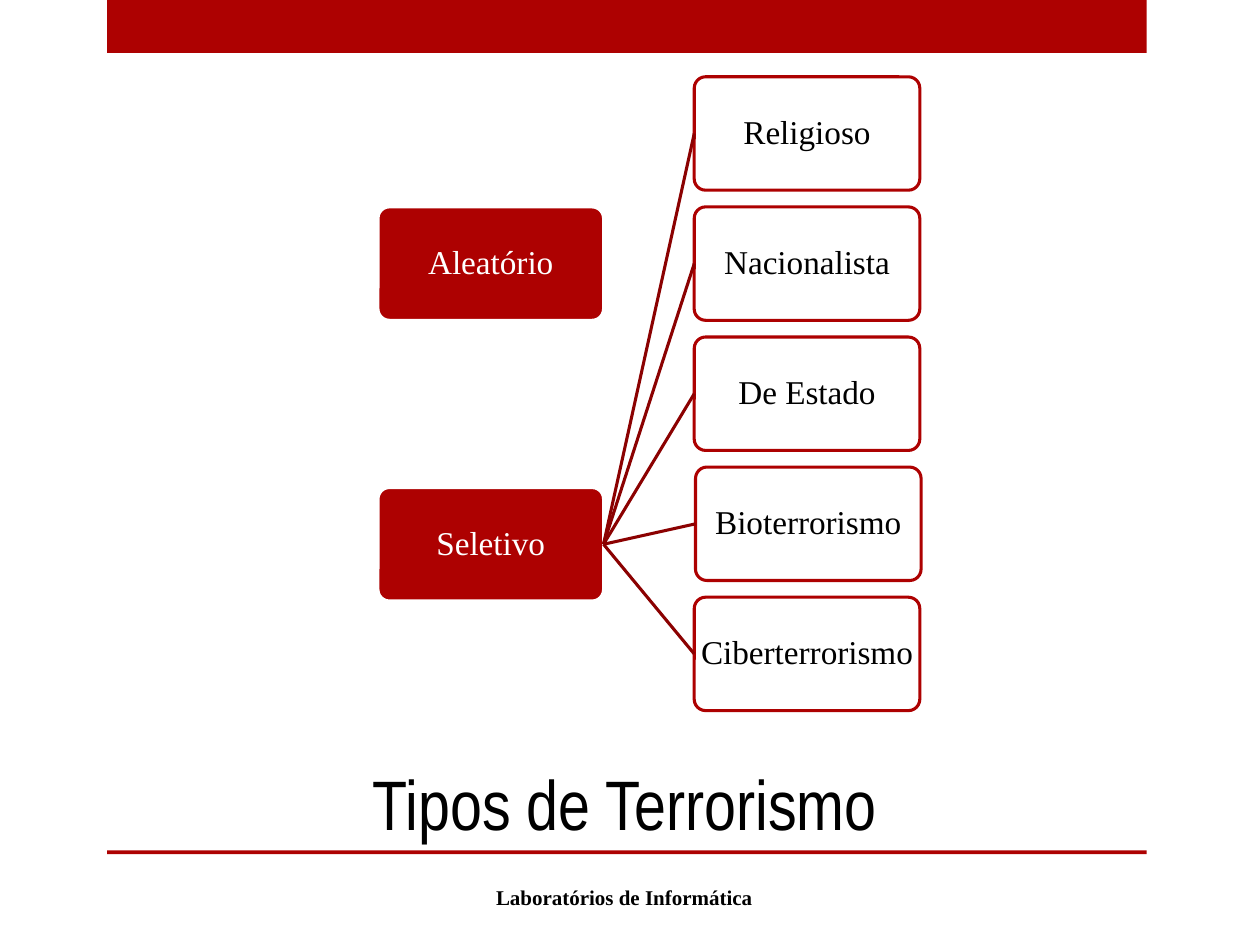
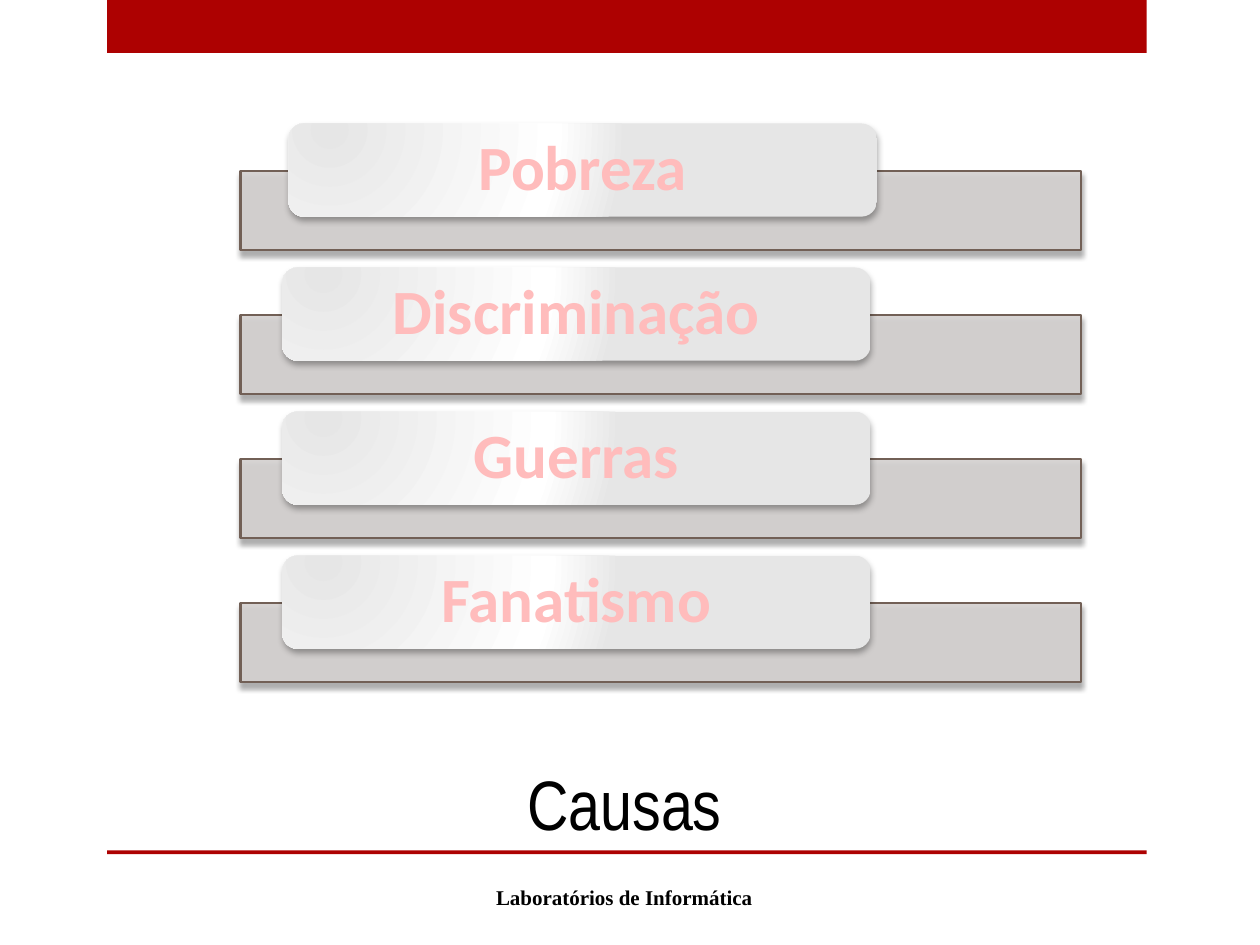
import dataclasses

import lxml.etree
import pptx
import pptx.dml.color
import pptx.enum.dml
import pptx.enum.shapes
import pptx.enum.text
import pptx.oxml
import pptx.oxml.ns
import pptx.util

COLORS = {
    "red": "AD0101", "dark_red": "8B0101", "pink": "FFBCBC",
    "white": "FFFFFF", "black": "000000",
    "stone": "D5D2D1", "brown": "726056", "silver": "E6E6E6",
}
SERIF, TITLE_FONT, CARD_FONT = "Times New Roman", "Arial Narrow", "Calibri"
CELL = pptx.util.Inches(0.1)
COLUMNS, ROWS = 100, 75
DRAWING_NS = pptx.oxml.ns.nsdecls("a")
RECTANGLE = pptx.enum.shapes.MSO_SHAPE.RECTANGLE
ROUNDED = pptx.enum.shapes.MSO_SHAPE.ROUNDED_RECTANGLE
ANCHOR = pptx.enum.text.MSO_ANCHOR


@dataclasses.dataclass
class Box:
    """An area of the slide, in grid columns and rows."""
    left: float
    top: float
    width: float
    height: float

    def inner(self, left, top, width, height):
        return Box(self.left + left, self.top + top, width, height)

    def lengths(self):
        return [round(value * CELL) for value in
                (self.left, self.top, self.width, self.height)]


PAGE = Box(0, 0, COLUMNS, ROWS)


def rgb(name):
    return pptx.dml.color.RGBColor.from_string(COLORS[name])


def add_panel(page, box, kind, fill=None, line=None, line_width=1.75):
    panel = page.shapes.add_shape(kind, *box.lengths())
    panel.shadow.inherit = False
    if fill:
        panel.fill.solid()
        panel.fill.fore_color.rgb = rgb(fill)
    if line:
        panel.line.color.rgb = rgb(line)
        panel.line.width = pptx.util.Pt(line_width)
    else:
        panel.line.fill.background()
    return panel


def write(shape, text, font, size, color="black", bold=False,
          anchor=ANCHOR.MIDDLE, spacing=1.0):
    """Puts one centred paragraph in the shape and returns it."""
    frame = shape.text_frame
    frame.word_wrap = True
    frame.vertical_anchor = anchor
    para = frame.paragraphs[0]
    para.text = text
    para.alignment = pptx.enum.text.PP_ALIGN.CENTER
    para.line_spacing = spacing
    para.font.name = font
    para.font.size = pptx.util.Pt(size)
    para.font.bold = bold
    para.font.color.rgb = rgb(color)
    return para


def set_margins(shape, sides, ends):
    frame = shape.text_frame
    frame.margin_left = frame.margin_right = pptx.util.Inches(sides)
    frame.margin_top = frame.margin_bottom = pptx.util.Inches(ends)


def add_shadow(shape, opacity, blur, distance):
    effects = shape.element.spPr.find(pptx.oxml.ns.qn("a:effectLst"))
    effects.append(pptx.oxml.parse_xml(
        f'<a:outerShdw {DRAWING_NS} blurRad="{pptx.util.Pt(blur)}" '
        f'dist="{pptx.util.Pt(distance)}" dir="5400000" rotWithShape="0">'
        f'<a:srgbClr val="{COLORS["black"]}"><a:alpha val="{opacity * 1000}"/>'
        '</a:srgbClr></a:outerShdw>'))


def set_opacity(shape, percent):
    color = shape.element.spPr.find(
        pptx.oxml.ns.qn("a:solidFill")).find(pptx.oxml.ns.qn("a:srgbClr"))
    lxml.etree.SubElement(color, pptx.oxml.ns.qn("a:alpha"),
                          val=str(percent * 1000))


def set_glow_fill(shape):
    """Fills the shape with a circular silver and white gradient."""
    stops = "".join(
        f'<a:gs pos="{share * 1000}"><a:srgbClr val="{COLORS[name]}"/></a:gs>'
        for share, name in ((0, "silver"), (76, "white"), (100, "silver")))
    shape.fill.background()
    properties = shape.element.spPr
    properties.replace(
        properties.find(pptx.oxml.ns.qn("a:noFill")),
        pptx.oxml.parse_xml(
            f'<a:gradFill {DRAWING_NS} rotWithShape="1"><a:gsLst>{stops}</a:gsLst>'
            '<a:path path="circle"><a:fillToRect l="15000" t="15000" '
            'r="100000" b="100000"/></a:path></a:gradFill>'))


def set_patterned_text(para):
    fill = para.font.fill
    fill.patterned()
    fill.pattern = pptx.enum.dml.MSO_PATTERN.PERCENT_50
    fill.fore_color.rgb = rgb("red")
    fill.back_color.rgb = rgb("pink")
    properties = para._p.pPr.find(pptx.oxml.ns.qn("a:defRPr"))
    properties.insert(0, pptx.oxml.parse_xml(
        f'<a:ln {DRAWING_NS} w="{pptx.util.Pt(1)}"><a:solidFill>'
        f'<a:srgbClr val="{COLORS["red"]}"/></a:solidFill></a:ln>'))


def add_page(deck, title):
    """Adds a page with the bands, title and footer that all pages share."""
    page = deck.slides.add_slide(deck.slide_layouts[6])
    for top, height in ((0, 4.2), (67.5, 0.3)):
        add_panel(page, PAGE.inner(8.5, top, 82.5, height), RECTANGLE, "red")
    heading = page.shapes.add_textbox(*PAGE.inner(8.3, 58, 82.5, 9.5).lengths())
    write(heading, title, TITLE_FONT, 40, anchor=ANCHOR.BOTTOM)
    footer = page.shapes.add_textbox(*PAGE.inner(22.9, 69.2, 53.3, 4).lengths())
    write(footer, "Laboratórios de Informática", SERIF, 12, bold=True)
    return page


def add_node(page, box, text, fill, line, color):
    node = add_panel(page, box, ROUNDED, fill, line)
    node.adjustments[0] = 0.1
    set_margins(node, 0.02, 0.02)
    write(node, text, SERIF, 19, color, spacing=0.9)
    return node


def add_branch(page, parent, child):
    branch = page.shapes.add_connector(
        pptx.enum.shapes.MSO_CONNECTOR.STRAIGHT, 0, 0, 0, 0)
    branch.begin_connect(parent, 3)
    branch.end_connect(child, 1)
    branch.line.color.rgb = rgb("dark_red")
    branch.line.width = pptx.util.Pt(1.75)
    lxml.etree.SubElement(branch.element.spPr, pptx.oxml.ns.qn("a:effectLst"))


def add_type_tree(page, box, kinds, subtypes):
    """Draws kinds at the left and the subtypes of the last kind at the right."""
    width, height = 17.9, 9
    pitch = (box.height - height) / (len(subtypes) - 1)
    for kind, top in zip(kinds, (pitch, 32.6)):
        parent = add_node(page, box.inner(0, top, width, height),
                          kind, "red", "white", "white")
    for row, subtype in enumerate(subtypes):
        nudge = 0.1 if subtype == "Bioterrorismo" else 0
        spot = box.inner(box.width - width + nudge, row * pitch, width, height)
        child = add_node(page, spot, subtype, "white", "red", "black")
        add_branch(page, parent, child)


def add_cause_list(page, box, causes):
    """Stacks a bar for each cause, with a card over its upper edge."""
    bar_height, card_height, bar_drop = 6.3, 7.4, 3.75
    pitch = (box.height - bar_drop - bar_height) / (len(causes) - 1)
    for row, cause in enumerate(causes):
        top = row * pitch
        bar = add_panel(page, box.inner(0, top + bar_drop, box.width, bar_height),
                        RECTANGLE, "stone", "brown", 1.25)
        set_opacity(bar, 90)
        add_shadow(bar, 35, 3, 3)
        indent = 3.3 if row else 3.8
        card = add_panel(page, box.inner(indent, top, 46.7, card_height), ROUNDED)
        set_glow_fill(card)
        add_shadow(card, 32, 3.5, 2.2)
        set_margins(card, 0.18, 0)
        set_patterned_text(write(card, cause, CARD_FONT, 36, bold=True, spacing=0.9))


def main():
    deck = pptx.Presentation()
    deck.slide_width, deck.slide_height = COLUMNS * CELL, ROWS * CELL
    add_type_tree(
        add_page(deck, "Tipos de Terrorismo"), PAGE.inner(30, 6.1, 43, 50.3),
        ("Aleatório", "Seletivo"),
        ("Religioso", "Nacionalista", "De Estado", "Bioterrorismo",
         "Ciberterrorismo"))
    add_cause_list(
        add_page(deck, "Causas"), PAGE.inner(19.1, 9.8, 66.7, 44.35),
        ("Pobreza", "Discriminação", "Guerras", "Fanatismo"))
    deck.save("out.pptx")


if __name__ == "__main__":
    main()
